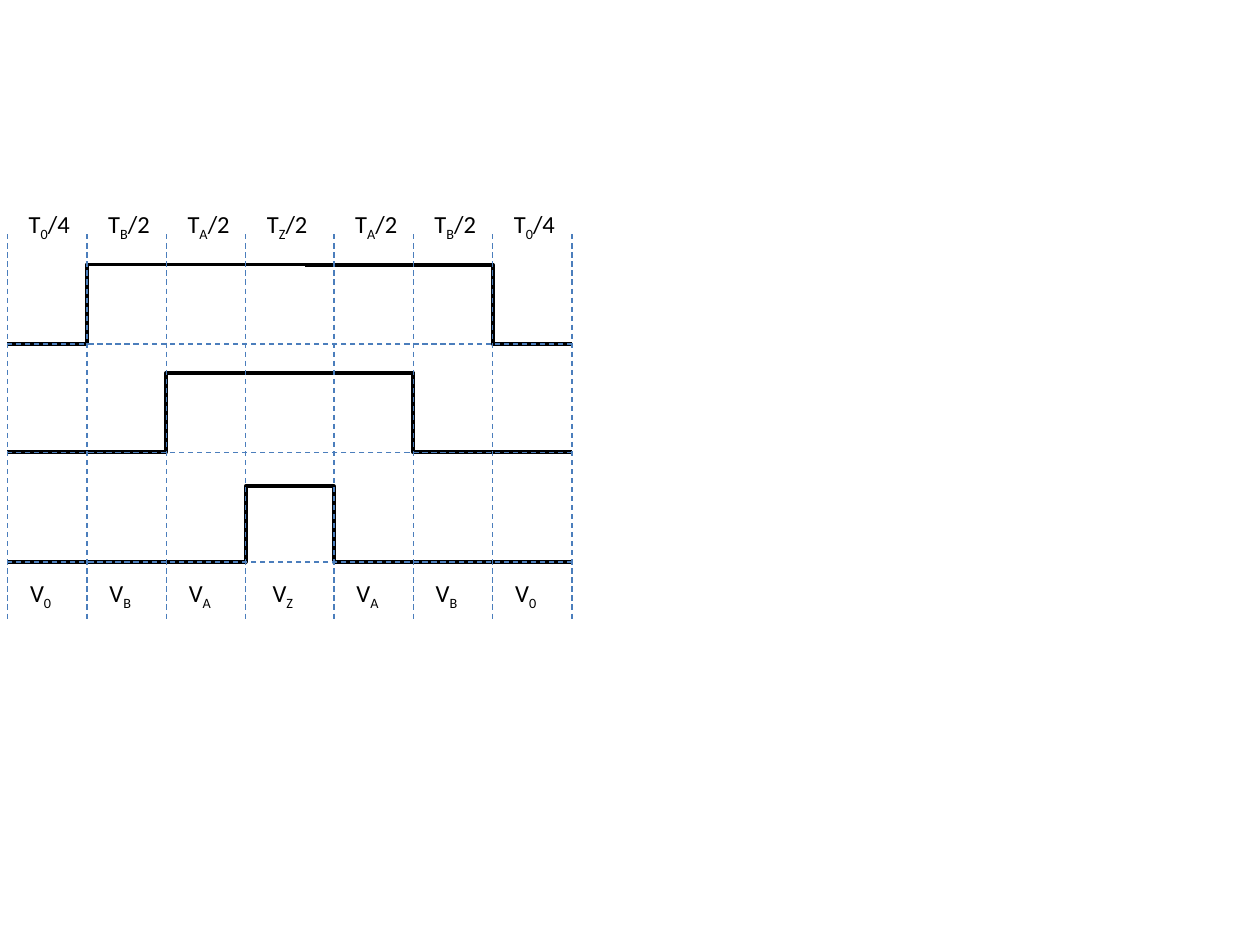
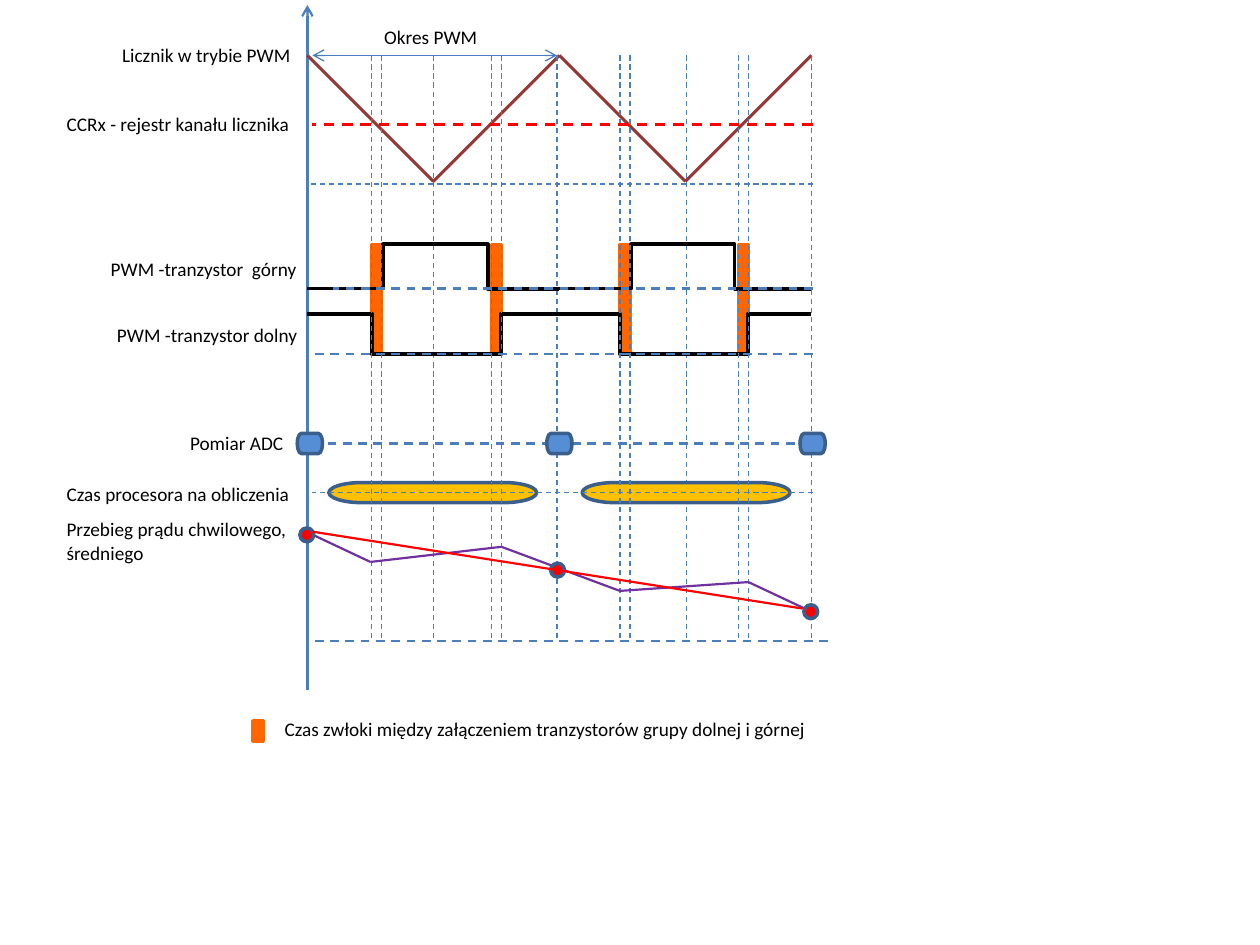
from dataclasses import dataclass
from itertools import pairwise

from lxml import etree
from pptx import Presentation
from pptx import util as u
from pptx.dml.color import RGBColor
from pptx.enum import dml, shapes, text
from pptx.oxml import ns

SLIDE_WIDTH, SLIDE_HEIGHT = u.Inches(10), u.Inches(7.5)
COLUMNS, ROWS = 100, 75  # all positions below are columns and rows of this grid


@dataclass(frozen=True)
class Theme:
    font: str = "Calibri"
    ink: str = "000000"
    guide: str = "4B7EBC"
    outline: str = "3A5F8C"
    counter: str = "953735"
    dead_time: str = "FF6600"
    sample: str = "558ED5"
    busy: str = "FFC000"
    red: str = "FF0000"
    current: str = "7030A0"
    symbol_size: float = 14
    label_size: float = 11
    thin: float = 0.75
    medium: float = 1.25
    threshold: float = 1.5
    ramp: float = 1.75
    border: float = 2
    signal: float = 2.25


THEME = Theme()


def column(count):
    return round(SLIDE_WIDTH * count / COLUMNS)


def row(count):
    return round(SLIDE_HEIGHT * count / ROWS)


def set_line(line, color, width):
    line.color.rgb = RGBColor.from_string(color)
    line.width = u.Pt(width)


def add_line(page, start, end, color=THEME.guide, width=THEME.thin, dashed=False,
             arrows=(), kind=shapes.MSO_CONNECTOR.STRAIGHT):
    """Draw a connector; arrows may hold "headEnd" and "tailEnd", in that order."""
    line = page.shapes.add_connector(kind, column(start[0]), row(start[1]),
                                     column(end[0]), row(end[1]))
    set_line(line.line, color, width)
    if dashed:
        line.line.dash_style = dml.MSO_LINE.DASH
    properties = line.element.spPr
    for arrow in arrows:
        etree.SubElement(properties.find(ns.qn("a:ln")), ns.qn(f"a:{arrow}"), type="arrow")
    etree.SubElement(properties, ns.qn("a:effectLst"))
    return line


def add_step(page, start, edge, end):
    """Draw a signal that changes level at column edge."""
    step = add_line(page, start, end, THEME.ink, THEME.signal,
                    kind=shapes.MSO_CONNECTOR.ELBOW)
    share = round(100000 * (edge - start[0]) / (end[0] - start[0]))
    adjustments = step.element.spPr.find(".//" + ns.qn("a:avLst"))
    etree.SubElement(adjustments, ns.qn("a:gd"), name="adj1", fmla=f"val {share}")


def add_pulse(page, left, rise, middle, fall, right, idle, active):
    add_step(page, (left, idle), rise, (middle, active))
    add_step(page, (middle, active), fall, (right, idle))


def add_path(page, points, color, width):
    for start, end in pairwise(points):
        add_line(page, start, end, color, width)


def add_guides(page, positions, top, bottom):
    for position in positions:
        add_line(page, (position, top), (position, bottom), dashed=True)


def add_block(page, kind, left, top, width, height, fill, outline=THEME.outline):
    block = page.shapes.add_shape(kind, column(left), row(top), column(width), row(height))
    block.shadow.inherit = False
    block.fill.solid()
    block.fill.fore_color.rgb = RGBColor.from_string(fill)
    set_line(block.line, outline, THEME.border)
    return block


def add_text(page, left, top, width, height, size, *runs):
    """Write runs of (words, is_subscript) in one paragraph."""
    box = page.shapes.add_textbox(column(left), row(top), column(width), row(height))
    frame = box.text_frame
    frame.word_wrap = True
    frame.auto_size = text.MSO_AUTO_SIZE.SHAPE_TO_FIT_TEXT
    para = frame.paragraphs[0]
    for words, is_subscript in runs:
        span = para.add_run()
        span.text = words
        span.font.name = THEME.font
        span.font.size = u.Pt(size)
        span.font.color.rgb = RGBColor.from_string(THEME.ink)
        if is_subscript:
            span.font._element.set("baseline", "-25000")


def add_label(page, words, left, top, width, height=2.9):
    add_text(page, left, top, width, height, THEME.label_size, (words, False))


def add_vector_page(deck):
    page = deck.slides.add_slide(deck.slide_layouts[6])
    sector, middle = 6.3, 24.2
    edges = [0.6 + sector * i for i in range(4)] + [26.5 + sector * i for i in range(4)]
    left, right = edges[0], edges[-1]
    signals = [(27.3, 21), (35.9, 29.6), (44.6, 38.6)]

    for depth, (idle, active) in enumerate(signals, start=1):
        add_pulse(page, left, edges[depth], middle, edges[-1 - depth], right, idle, active)
    add_guides(page, edges, 18.6, 49.3)
    for idle, _ in signals:
        add_line(page, (right, idle), (left, idle), dashed=True)

    vectors = [("0", "/4"), ("B", "/2"), ("A", "/2"), ("Z", "/2"),
               ("A", "/2"), ("B", "/2"), ("0", "/4")]
    for (start, end), (name, share) in zip(pairwise(edges), vectors):
        add_text(page, start + 0.7, 16.1, sector, 3.4, THEME.symbol_size,
                 ("T", False), (name, True), (share, False))
        add_text(page, (start + end - 4.7) / 2, 45.4, 4.7, 3.4, THEME.symbol_size,
                 ("V", False), (name, True))


def add_timing_page(deck):
    page = deck.slides.add_slide(deck.slide_layouts[6])
    rectangle = shapes.MSO_SHAPE.RECTANGLE
    terminator = shapes.MSO_SHAPE.FLOWCHART_TERMINATOR
    origin, half, dead = 24.4, 10, 0.8
    top, bottom, end = 4.4, 50.9, 64.5
    dead_times = [29.5, 39, 49.2, 58.6]

    for start in dead_times:
        add_block(page, rectangle, start, 19.4, dead, 8.7, THEME.dead_time, THEME.dead_time)
    add_line(page, (origin, 54.8), (origin, 0.4), width=THEME.medium, arrows=["tailEnd"])
    add_path(page, [(origin + half * i, top + half * (i % 2)) for i in range(5)],
             THEME.counter, THEME.ramp)
    add_guides(page, [34.4, 44.2, 54.5, 64.4], top, bottom)
    add_line(page, (end, 14.6), (origin, 14.6), dashed=True)

    for period, (first, second) in enumerate(zip(dead_times[::2], dead_times[1::2])):
        left = origin + 2 * half * period
        middle, right = left + half, left + 2 * half
        add_pulse(page, left, first + dead + 0.1, middle, second - 0.3, right, 22.9, 19.4)
        add_pulse(page, left, first, middle, second + dead, right, 24.9, 28.1)

    add_line(page, (end, 22.9), (26.4, 22.9), width=THEME.medium, dashed=True)
    add_line(page, (end, 28.1), (24.5, 28.1), width=THEME.medium, dashed=True)
    sampling = add_line(page, (65.5, 35.2), (23.6, 35.2), width=THEME.medium, dashed=True)
    samples = [add_block(page, terminator, left, 34.4, 2, 1.6, THEME.sample)
               for left in (23.6, 43.4, 63.5)]
    sampling.begin_connect(samples[-1], 3)
    sampling.end_connect(samples[0], 1)
    for left in (26.1, 46.2):
        add_block(page, terminator, left, 38.3, 16.5, 1.6, THEME.busy)
    add_line(page, (end, 39.1), (24.8, 39.1), dashed=True)

    add_line(page, (44.2, top), (24.8, top), arrows=["headEnd", "tailEnd"])
    for start in dead_times:
        add_guides(page, (start, start + dead), top, bottom)
    add_line(page, (end, 9.9), (24.8, 9.9), THEME.red, THEME.threshold, dashed=True)
    add_line(page, (65.7, bottom), (24.8, bottom), width=THEME.medium, dashed=True)

    add_path(page, [(24.3, 42.2), (29.4, 44.6), (39.8, 43.4), (49.2, 46.9),
                    (59.4, 46.2), (64.3, 48.5)], THEME.current, THEME.medium)
    for left, upper in ((23.8, 41.9), (43.7, 44.7), (63.8, 48)):
        add_block(page, shapes.MSO_SHAPE.OVAL, left, upper, 1.1, 1.1, THEME.red)
    add_line(page, (24.8, 42.2), (63.7, 48.3), THEME.red, THEME.medium)

    add_label(page, "Okres PWM", 29.5, 1.5, 9.9)
    add_label(page, "Licznik w trybie PWM", 8.7, 2.9, 18.5)
    add_label(page, "CCRx - rejestr kanału licznika", 4.3, 8.4, 21.3)
    add_label(page, "PWM -tranzystor  górny", 7.8, 19.9, 20.2)
    add_label(page, "PWM -tranzystor dolny", 8.3, 25.2, 16.5)
    add_label(page, "Pomiar ADC", 14.1, 33.7, 9.9)
    add_label(page, "Czas procesora na obliczenia", 4.3, 37.8, 20.5)
    add_label(page, "Przebieg prądu chwilowego, średniego", 4.3, 40.6, 21.7, 4.7)
    add_block(page, rectangle, 20.1, 57.2, dead, 1.6, THEME.dead_time, THEME.dead_time)
    add_label(page, "Czas zwłoki między załączeniem tranzystorów grupy dolnej i górnej",
              21.6, 56.4, 46.9)


def main():
    deck = Presentation()
    deck.slide_width, deck.slide_height = SLIDE_WIDTH, SLIDE_HEIGHT
    add_vector_page(deck)
    add_timing_page(deck)
    deck.save("out.pptx")


if __name__ == "__main__":
    main()
